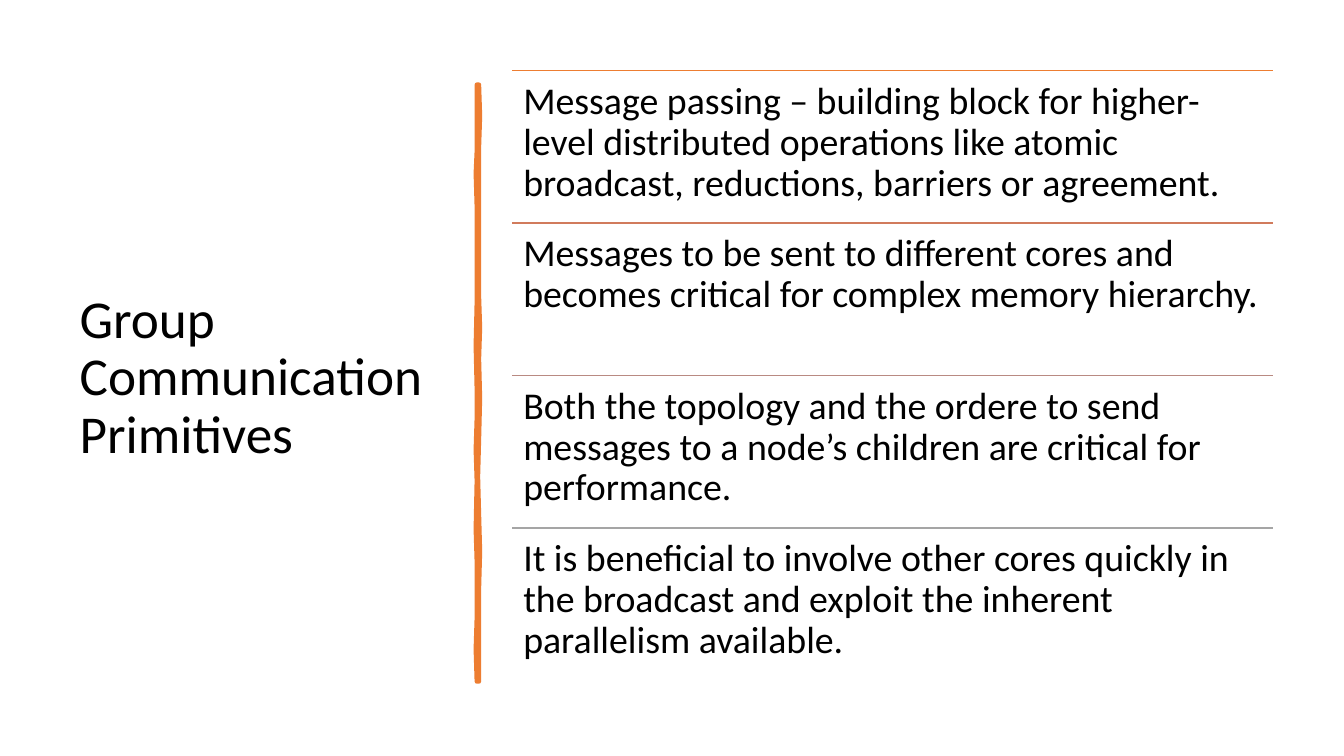
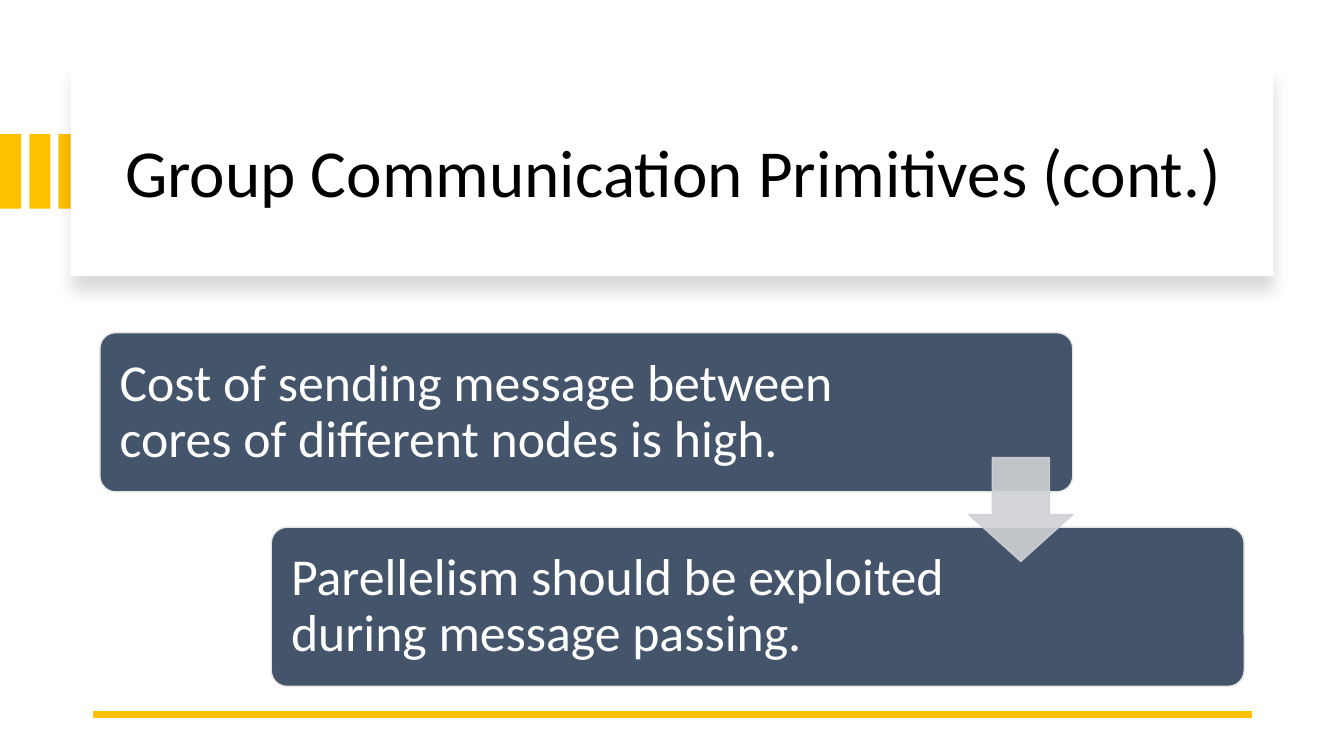
from lxml.etree import SubElement
from pptx import Presentation
from pptx.dml.color import RGBColor as RGB
from pptx.enum.shapes import MSO_CONNECTOR as CONN, MSO_SHAPE as SHAPE
from pptx.enum.text import MSO_ANCHOR as ANCHOR, MSO_AUTO_SIZE as AUTO, PP_ALIGN as ALIGN
from pptx.oxml.ns import qn
from pptx.util import Inches, Pt


class Theme:
    font = "Calibri"
    black, white = RGB(0, 0, 0), RGB(255, 255, 255)
    orange, gold = RGB(0xED, 0x7D, 0x31), RGB(0xFF, 0xC0, 0x00)
    slate, pale = RGB(0x44, 0x54, 0x6A), RGB(0xE7, 0xE6, 0xE6)
    arrow = RGB(0xCF, 0xD1, 0xD4)
    rules = [orange, RGB(0xD1, 0x7B, 0x5C), RGB(0xB9, 0x8A, 0x82), RGB(0xA5, 0xA5, 0xA5)]
    side_title_size, card_title_size = Pt(38), Pt(48)
    list_size, step_size = Pt(27), Pt(37)
    spacing = 0.9


def add_rule(s, left, right, y, color, width):
    line = s.shapes.add_connector(CONN.STRAIGHT, Inches(left), Inches(y), Inches(right), Inches(y))
    line.line.color.rgb = color
    line.line.width = Pt(width)
    SubElement(line._element.spPr, qn("a:effectLst"))


def add_shape(s, kind, box, fill, border=None):
    sp = s.shapes.add_shape(kind, *map(Inches, box))
    sp.shadow.inherit = False
    sp.fill.solid()
    sp.fill.fore_color.rgb = fill
    if border is None:
        sp.line.fill.background()
    else:
        sp.line.color.rgb = border
        sp.line.width = Pt(1)
    return sp


prs = Presentation()
prs.slide_width, prs.slide_height = Inches(13.33), Inches(7.5)

# Slides and their titles
titles = [
    ("Group Communication Primitives", (0.69, 0.7, 3.74, 6.11), Theme.side_title_size),
    ("Group Communication Primitives (cont.)", (1.14, 0.89, 11.13, 1.7), Theme.card_title_size),
]
slides = []
for text, box, size in titles:
    s = prs.slides.add_slide(prs.slide_layouts[5])
    title = s.shapes.title
    title.left, title.top, title.width, title.height = map(Inches, box)
    tf = title.text_frame
    tf.text = text
    tf.auto_size = AUTO.NONE
    tf.vertical_anchor = ANCHOR.MIDDLE
    p = tf.paragraphs[0]
    p.alignment = ALIGN.LEFT
    p.line_spacing = Theme.spacing
    p.font.name, p.font.size, p.font.color.rgb = Theme.font, size, Theme.black
    slides.append(s)
list_slide, steps_slide = slides

# Slide 1: hand-drawn vertical bar, in hundredths of an inch
right_edge = [(475, 84), (476, 115), (475, 146), (475, 294), (476, 325), (475, 356), (476, 395),
              (475, 436), (474, 473), (475, 510), (476, 547), (475, 584), (475, 676)]
left_edge = [(473, 676), (472, 644), (473, 613), (473, 557), (472, 525), (473, 477), (472, 446),
             (473, 415), (473, 386), (472, 343), (473, 300), (473, 250), (473, 205), (472, 172),
             (473, 150), (473, 84)]
outline = right_edge + left_edge
builder = list_slide.shapes.build_freeform(*outline[0], scale=Inches(0.01))
builder.add_line_segments(outline[1:], close=True)
bar = builder.convert_to_shape()
bar.shadow.inherit = False
bar.fill.solid()
bar.fill.fore_color.rgb = Theme.orange
bar.line.color.rgb = Theme.orange
bar.line.width = Pt(3.25)

# Slide 1: ruled list of four equal rows
points = [
    "Message passing – building block for higher-level distributed operations like atomic "
    "broadcast, reductions, barriers or agreement.",
    "Messages to be sent to different cores and becomes critical for complex memory hierarchy.",
    "Both the topology and the ordere to send messages to a node’s children are critical for "
    "performance.",
    "It is beneficial to involve other cores quickly in the broadcast and exploit the inherent "
    "parallelism available.",
]
left, top, width = 5.08, 0.7, 7.55
row = 6.05 / len(points)
for i, (text, color) in enumerate(zip(points, Theme.rules)):
    y = top + i * row
    add_rule(list_slide, left, left + width, y, color, 1)
    tf = list_slide.shapes.add_textbox(*map(Inches, (left, y, width, row))).text_frame
    tf.word_wrap = True
    tf.margin_left = tf.margin_right = tf.margin_top = tf.margin_bottom = Inches(0.11)
    p = tf.paragraphs[0]
    p.text = text
    p.line_spacing = Theme.spacing
    p.font.name, p.font.size, p.font.color.rgb = Theme.font, Theme.list_size, Theme.black

# Slide 2: gold tabs and title card, behind the title
backdrop = [add_shape(steps_slide, SHAPE.RECTANGLE, (i * 0.29, 1.33, 0.21, 0.74), Theme.gold)
            for i in range(3)]
card = add_shape(steps_slide, SHAPE.RECTANGLE, (0.7, 0.67, 11.93, 2.07), Theme.white)
effects = card._element.spPr.find(qn("a:effectLst"))
shadow = SubElement(effects, qn("a:outerShdw"), blurRad=str(Pt(11)), dist=str(Pt(10)),
                    dir="5400000", algn="t", rotWithShape="0")
tint = SubElement(shadow, qn("a:srgbClr"), val=str(Theme.black))
SubElement(tint, qn("a:alpha"), val="15000")
for sp in backdrop + [card]:
    steps_slide.shapes.title._element.addprevious(sp._element)

add_rule(steps_slide, 0.92, 12.42, 7.09, Theme.gold, 4.5)

# Slide 2: two staggered steps, with room for the arrow on the right
steps = [
    ("Cost of sending message between cores of different nodes is high.", 1.7),
    ("Parellelism should be exploited during message passing.", 2.7),
]
for i, (text, right_inset) in enumerate(steps):
    box = (0.99 + i * 1.7, 3.3 + i * 1.93, 9.65, 1.58)
    sp = add_shape(steps_slide, SHAPE.ROUNDED_RECTANGLE, box, Theme.slate, Theme.pale)
    sp.adjustments[0] = 0.1
    tf = sp.text_frame
    tf.word_wrap = True
    tf.vertical_anchor = ANCHOR.MIDDLE
    tf.margin_left, tf.margin_right = Inches(0.15), Inches(right_inset)
    p = tf.paragraphs[0]
    p.text = text
    p.alignment = ALIGN.LEFT
    p.line_spacing = Theme.spacing
    p.font.name, p.font.size, p.font.color.rgb = Theme.font, Theme.step_size, Theme.white

# Slide 2: translucent arrow between the steps
arrow = add_shape(steps_slide, SHAPE.DOWN_ARROW, (9.61, 4.54, 1.03, 1.03), Theme.arrow, Theme.arrow)
arrow.adjustments[0], arrow.adjustments[1] = 0.55, 0.45
for color in arrow._element.spPr.iter(qn("a:srgbClr")):
    SubElement(color, qn("a:alpha"), val="90000")

prs.save("out.pptx")
